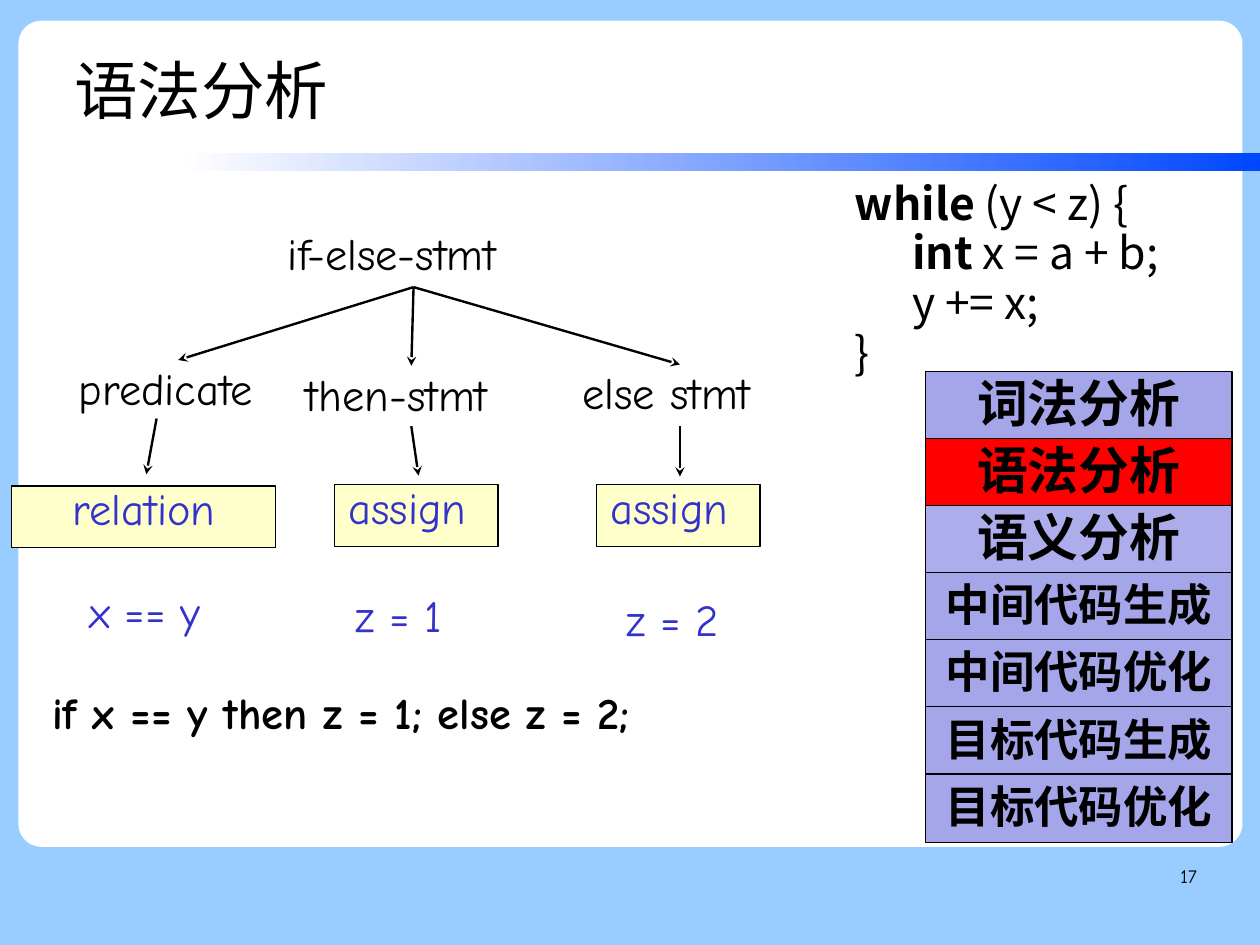
from dataclasses import dataclass

from lxml.etree import SubElement
from pptx import Presentation
from pptx.dml.color import RGBColor
from pptx.enum.shapes import MSO_CONNECTOR as Connector, MSO_SHAPE as Shape
from pptx.enum.text import MSO_ANCHOR as Anchor, MSO_AUTO_SIZE as AutoSize, PP_ALIGN as Align
from pptx.oxml.ns import qn
from pptx.util import Cm, Pt


@dataclass(frozen=True)
class Theme:
    """Colours, fonts and type sizes of the slide."""
    sky: str = "99CCFF"
    paper: str = "FFFFFF"
    band: str = "0047FF"
    ink: str = "000000"
    leaf_text: str = "3333CC"
    leaf_fill: str = "FFFFCC"
    phase: str = "A5A5E9"
    next_phase: str = "ADADEB"
    current: str = "FF0000"
    sans: str = "Noto Sans CJK SC"
    comic: str = "Comic Neue"
    title: int = 40
    large: int = 32
    body: int = 28
    small: int = 12
    tight: float = 0.93


THEME = Theme()
TITLE = "语法分析"
PAGE_NUMBER = "17"
SENTENCE = ("if x == y then z = 1; else z = 2;", 0.91, 15.21, 16.64)
CODE = [
    (0, "while", " (y < z) {"),
    (1.27, "int", " x = a + b;"),
    (1.27, "", "y += x;"),
    (0, "", "}"),
]
NODES = [
    ("if-else-stmt", 6.15, 5.0),
    ("predicate", 1.5, 8.0),
    ("then-stmt", 6.55, 8.13),
    ("else stmt", 12.7, 8.1),
]
LEAVES = [
    ("relation", 0.25, 10.8, 5.87, 1.37),
    ("assign", 7.44, 10.77, 3.63, 0.3),
    ("assign", 13.26, 10.77, 3.63, 0.3),
]
EXPRESSIONS = [("x == y", 1.73, 12.95), ("z = 1", 7.65, 13.06), ("z = 2", 13.67, 13.13)]
ROOT = (9.19, 6.38)
ARROWS = [
    (ROOT, (3.96, 8.0)),
    (ROOT, (9.14, 8.13)),
    (ROOT, (15.11, 8.1)),
    ((3.48, 9.3), (3.25, 10.54)),
    ((9.14, 9.47), (9.3, 10.57)),
    ((15.11, 9.47), (15.11, 10.59)),
]
PHASES = [
    ("词法分析", THEME.large, THEME.phase),
    ("语法分析", THEME.large, THEME.current),
    ("语义分析", THEME.large, THEME.next_phase),
    ("中间代码生成", THEME.body, THEME.phase),
    ("中间代码优化", THEME.body, THEME.phase),
    ("目标代码生成", THEME.body, THEME.phase),
    ("目标代码优化", THEME.body, THEME.phase),
]
PHASE_LEFT, PHASE_TOP, PHASE_STEP = 20.57, 8.26, 1.49
PHASE_WIDTH, PHASE_HEIGHT = 6.81, 1.52
NODE_WIDTH, NODE_HEIGHT = 6.1, 1.35


def color(value):
    return RGBColor.from_string(value)


def style(para, face, size, ink=THEME.ink, bold=False, align=Align.LEFT, spacing=THEME.tight):
    para.alignment = align
    para.line_spacing = spacing
    font = para.font
    font.name, font.size, font.bold = face, Pt(size), bold
    font.color.rgb = color(ink)
    SubElement(font._rPr, qn("a:ea")).set("typeface", face)


def add_box(page, kind, left, top, width, height, fill=None, outline=False):
    box = page.shapes.add_shape(kind, Cm(left), Cm(top), Cm(width), Cm(height))
    box.shadow.inherit = False
    if fill:
        box.fill.solid()
        box.fill.fore_color.rgb = color(fill)
    if outline:
        box.line.color.rgb = color(THEME.ink)
        box.line.width = Pt(0.75)
    else:
        box.line.fill.background()
    return box


def add_label(page, text, left, top, width=NODE_WIDTH, height=NODE_HEIGHT, size=THEME.body, **look):
    frame = page.shapes.add_textbox(Cm(left), Cm(top), Cm(width), Cm(height)).text_frame
    frame.word_wrap = True
    frame.text = text
    style(frame.paragraphs[0], THEME.comic, size, **look)
    return frame


def add_arrow(page, start, end):
    points = [Cm(value) for value in (*start, *end)]
    arrow = page.shapes.add_connector(Connector.STRAIGHT, *points)
    arrow.line.color.rgb = color(THEME.ink)
    arrow.line.width = Pt(1.5)
    SubElement(arrow.line._get_or_add_ln(), qn("a:tailEnd")).set("type", "stealth")
    SubElement(arrow.element.spPr, qn("a:effectLst"))


def add_backdrop(page):
    page.background.fill.solid()
    page.background.fill.fore_color.rgb = color(THEME.sky)
    panel = add_box(page, Shape.ROUNDED_RECTANGLE, 0.41, 0.46, 27.2, 18.36, THEME.paper)
    panel.adjustments[0] = 0.028
    band = add_box(page, Shape.RECTANGLE, 3.99, 3.4, 24.01, 0.41)
    band.fill.gradient()
    band.fill.gradient_angle = 0
    for stop, shade in zip(band.fill.gradient_stops, (THEME.paper, THEME.band)):
        stop.color.rgb = color(shade)


def add_title(page):
    title = page.shapes.title
    page.shapes.element.append(title.element)
    title.left, title.top, title.width, title.height = Cm(1.4), Cm(0.84), Cm(21.79), Cm(2.57)
    frame = title.text_frame
    frame.text = TITLE
    frame.auto_size = AutoSize.NONE
    frame.vertical_anchor = Anchor.TOP
    style(frame.paragraphs[0], THEME.sans, THEME.title, spacing=1.1)


def add_code(page):
    frame = page.shapes.add_textbox(Cm(18.75), Cm(3.89), Cm(8.76), Cm(4.7)).text_frame
    frame.word_wrap = True
    for number, (indent, keyword, rest) in enumerate(CODE):
        para = frame.add_paragraph() if number else frame.paragraphs[0]
        properties = para._p.get_or_add_pPr()
        properties.set("marL", str(Cm(indent)))
        properties.set("indent", "0")
        style(para, THEME.sans, THEME.body)
        if keyword:
            span = para.add_run()
            span.text = keyword
            span.font.bold = True
        para.add_run().text = rest


def add_tree(page):
    for text, left, top, width, inset in LEAVES:
        leaf = add_box(page, Shape.RECTANGLE, left, top, width, 1.37, THEME.leaf_fill, True)
        frame = leaf.text_frame
        frame.text = text
        frame.vertical_anchor = Anchor.TOP
        frame.margin_left, frame.margin_top = Cm(inset), 0
        style(frame.paragraphs[0], THEME.comic, THEME.body, THEME.leaf_text)
    for node in NODES:
        add_label(page, *node)
    for expression in EXPRESSIONS:
        add_label(page, *expression, ink=THEME.leaf_text)
    for start, end in ARROWS:
        add_arrow(page, start, end)


def add_phases(page):
    for row, (text, size, fill) in enumerate(PHASES):
        top = PHASE_TOP + row * PHASE_STEP
        box = add_box(page, Shape.RECTANGLE, PHASE_LEFT, top, PHASE_WIDTH, PHASE_HEIGHT, fill, True)
        box.text_frame.text = text
        box.text_frame.vertical_anchor = Anchor.MIDDLE
        style(box.text_frame.paragraphs[0], THEME.sans, size, bold=True, align=Align.CENTER)


def main():
    deck = Presentation()
    deck.slide_width, deck.slide_height = Cm(28), Cm(21)
    page = deck.slides.add_slide(deck.slide_layouts[5])
    add_backdrop(page)
    add_title(page)
    add_code(page)
    add_tree(page)
    add_label(page, *SENTENCE, bold=True)
    number = add_label(page, PAGE_NUMBER, 20.07, 19.13, 6.53, 1.45, THEME.small,
                       align=Align.RIGHT, spacing=1.16)
    number.margin_left = number.margin_top = number.margin_right = number.margin_bottom = 0
    add_phases(page)
    deck.save("out.pptx")


if __name__ == "__main__":
    main()
